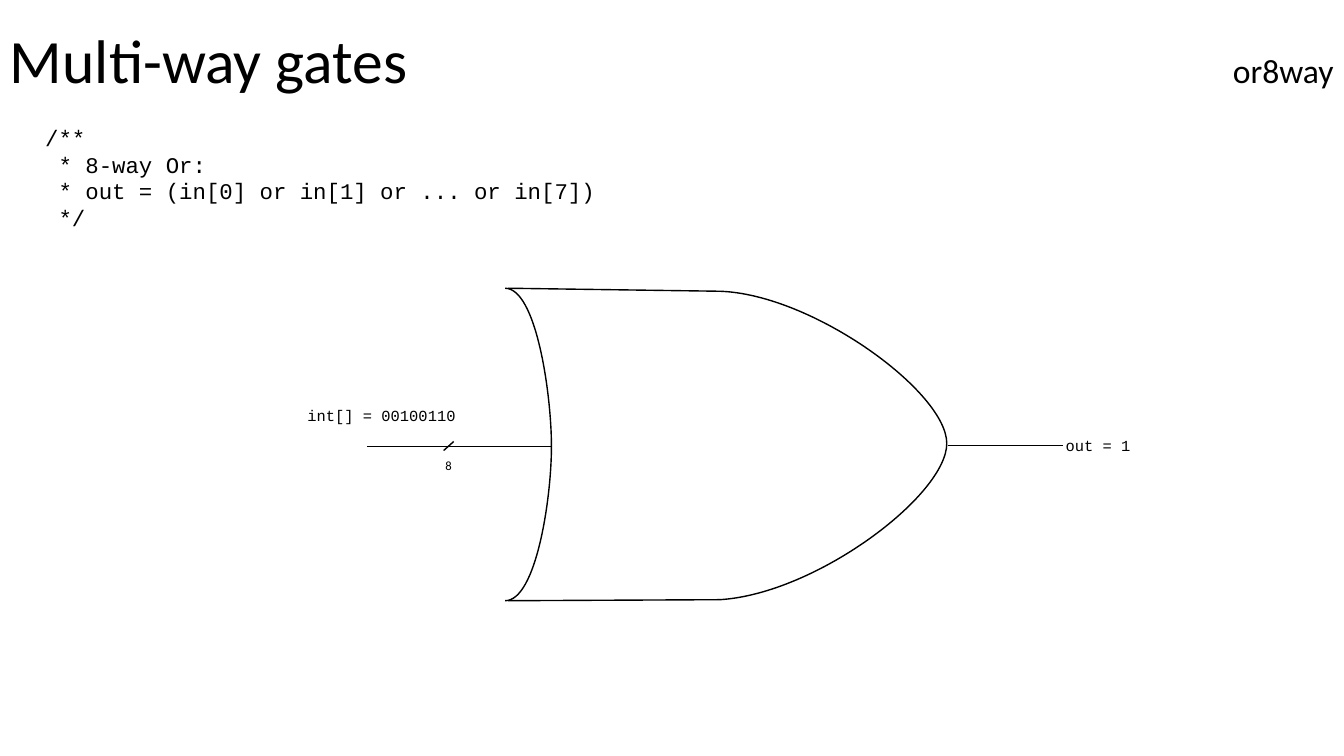
from lxml.etree import SubElement
from pptx import Presentation
from pptx.dml.color import RGBColor
from pptx.enum.shapes import MSO_CONNECTOR as Connector
from pptx.enum.text import MSO_ANCHOR as Anchor
from pptx.oxml.ns import qn
from pptx.util import Pt

PX = 9144  # EMU per px, 100 px to the inch
COLORS = {"ink": "000000"}
SANS, MONO = "Calibri", "Courier New"
SLIDE_WIDTH, SLIDE_HEIGHT = 1333, 750
INSET = 10


def style_run(run, size, font):
    run.font.name = font
    run.font.size = Pt(size)
    run.font.color.rgb = RGBColor.from_string(COLORS["ink"])


def add_text(slide, box, text, size, font):
    shape = slide.shapes.add_textbox(*(value * PX for value in box))
    frame = shape.text_frame
    frame.word_wrap = True
    frame.text = text
    for paragraph in frame.paragraphs:
        for run in paragraph.runs:
            style_run(run, size, font)
    return frame


def add_title(slide, title, topic):
    """Put the title at the left and the topic at a right tab stop on one line."""
    frame = add_text(slide, (0, -9, SLIDE_WIDTH, 145), title, 44, SANS)
    frame.vertical_anchor = Anchor.MIDDLE
    paragraph = frame.paragraphs[0]
    paragraph.line_spacing = 0.9
    tabs = SubElement(paragraph._p.get_or_add_pPr(), qn("a:tabLst"))
    SubElement(tabs, qn("a:tab"), pos=str((SLIDE_WIDTH - 2 * INSET) * PX), algn="r")
    run = paragraph.add_run()
    run.text = "\t" + topic
    style_run(run, 24, SANS)


def style_line(line):
    line.color.rgb = RGBColor.from_string(COLORS["ink"])
    line.width = Pt(1)


def add_wire(slide, start, end):
    ends = [value * PX for value in (*start, *end)]
    wire = slide.shapes.add_connector(Connector.STRAIGHT, *ends)
    style_line(wire.line)
    SubElement(wire._element.spPr, qn("a:effectLst"))


def add_outline(slide, start, segments):
    """Draw an open path; a segment of one point is a line, of three a Bezier curve."""
    builder = slide.shapes.build_freeform(*start, scale=PX)
    builder.add_line_segments([point for segment in segments for point in segment], close=False)
    outline = builder.convert_to_shape()
    steps = iter(list(outline._element.iter(qn("a:lnTo"))))
    for segment in segments:
        first, *others = [next(steps) for _ in segment]
        if others:
            first.tag = qn("a:cubicBezTo")
        for step in others:
            first.append(step[0])
            step.getparent().remove(step)
    outline.fill.background()
    outline.shadow.inherit = False
    style_line(outline.line)


def add_or_gate(slide):
    add_outline(slide, (504, 286), [
        [(714, 289)],
        [(806, 292), (939, 389), (939, 440)],
        [(939, 491), (810, 589), (714, 595)],
        [(504, 596)],
    ])
    add_outline(slide, (501, 596), [
        [(532, 596), (547, 494), (547, 443)],
        [(547, 391), (532, 286), (501, 286)],
    ])


def main():
    presentation = Presentation()
    presentation.slide_width = SLIDE_WIDTH * PX
    presentation.slide_height = SLIDE_HEIGHT * PX
    slide = presentation.slides.add_slide(presentation.slide_layouts[6])

    add_title(slide, "Multi-way gates", "or8way")
    code = "/**\n * 8-way Or:\n * out = (in[0] or in[1] or ... or in[7])\n */"
    add_text(slide, (35, 118, 593, 476), code, 16, MONO)

    add_wire(slide, (940, 442), (1054, 442))
    add_or_gate(slide)
    add_wire(slide, (364, 443), (547, 443))
    add_wire(slide, (440, 447), (450, 438))

    add_text(slide, (432, 449, 36, 25), "8", 9, SANS)
    add_text(slide, (295, 398, 175, 29), "int[] = 00100110", 11, MONO)
    add_text(slide, (1047, 428, 123, 29), "out = 1", 11, MONO)
    presentation.save("out.pptx")


if __name__ == "__main__":
    main()
